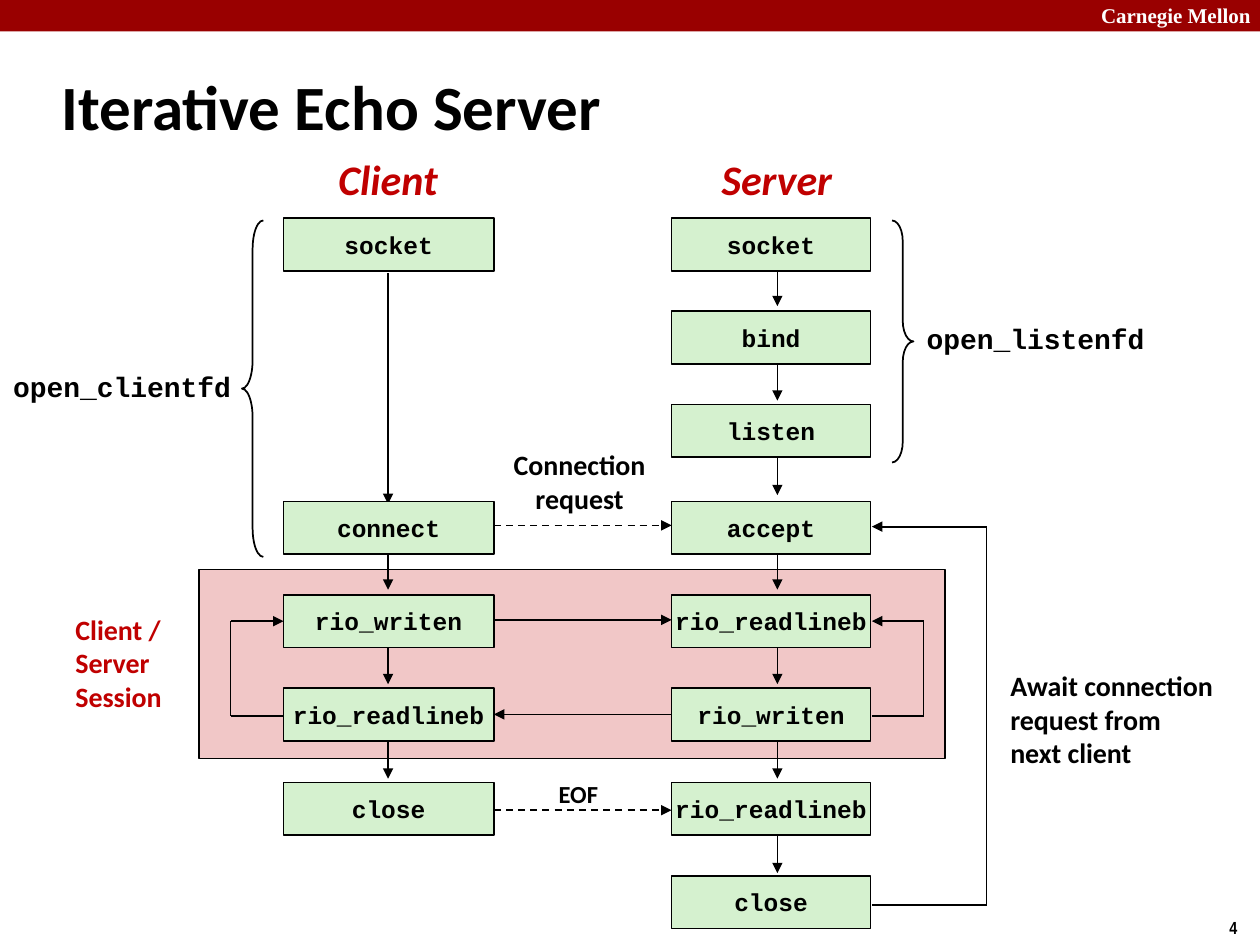
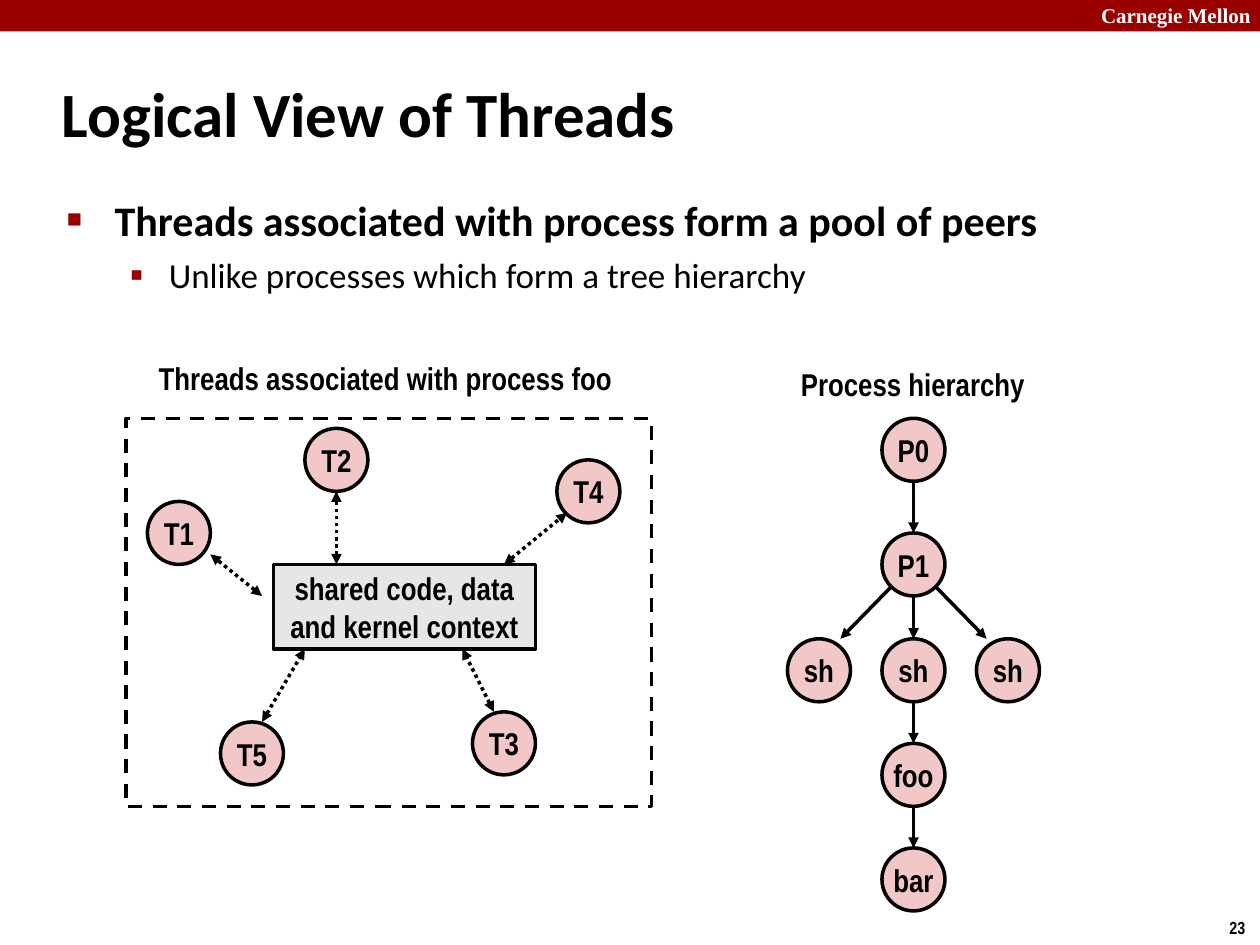
"""Build two lecture slides: an iterative echo server and a view of threads."""
import pptx
import pptx.dml.color
import pptx.enum.dml
import pptx.enum.shapes
import pptx.enum.text
import pptx.oxml.ns
import pptx.util
from lxml import etree

Inches = pptx.util.Inches
Pt = pptx.util.Pt
RGBColor = pptx.dml.color.RGBColor
SHAPE = pptx.enum.shapes.MSO_SHAPE
ALIGN = pptx.enum.text.PP_ALIGN
ANCHOR = pptx.enum.text.MSO_ANCHOR
DASH = pptx.enum.dml.MSO_LINE
qn = pptx.oxml.ns.qn

BLACK = RGBColor(0, 0, 0)
WHITE = RGBColor(255, 255, 255)
BAND = RGBColor(0x99, 0, 0)
RED = RGBColor(0xC0, 0, 0)
GREEN = RGBColor(0xD5, 0xF1, 0xCF)
PINK = RGBColor(0xF1, 0xC7, 0xC7)
GRAY = RGBColor(0xE6, 0xE6, 0xE6)
SANS, NARROW, MONO, SERIF = "Calibri", "Arial Narrow", "Courier New", "Times New Roman"


def add(s, text, at, sp=None, shape=None, fill=None, line=BLACK, width=1, dash=None,
        font=SANS, size=16, color=BLACK, bold=True, italic=False,
        align=ALIGN.CENTER, anchor=ANCHOR.MIDDLE, wrap=False):
    """Place a preset shape, a text box or a given placeholder, and format its text."""
    box = [Inches(v) for v in at]
    if shape is not None:
        sp = s.shapes.add_shape(shape, *box)
        sp.shadow.inherit = False
        if fill is None:
            sp.fill.background()
        else:
            sp.fill.solid()
            sp.fill.fore_color.rgb = fill
        if line is None:
            sp.line.fill.background()
        else:
            sp.line.color.rgb = line
            sp.line.width = Pt(width)
            if dash is not None:
                sp.line.dash_style = dash
    elif sp is None:
        sp = s.shapes.add_textbox(*box)
    else:
        sp.left, sp.top, sp.width, sp.height = box
    if text:
        tf = sp.text_frame
        tf.text = text
        tf.word_wrap = wrap
        tf.auto_size = pptx.enum.text.MSO_AUTO_SIZE.NONE
        tf.vertical_anchor = anchor
        for p in tf.paragraphs:
            p.alignment = align
            for r in p.runs:
                r.font.name, r.font.size = font, Pt(size)
                r.font.bold, r.font.italic = bold, italic
                r.font.color.rgb = color
    return sp


def connect(s, *points, width=1, dash=None, head=False, tail=True):
    """Join the points by straight connectors, with arrowheads at the ends."""
    legs = list(zip(points, points[1:]))
    for i, (a, b) in enumerate(legs):
        c = s.shapes.add_connector(pptx.enum.shapes.MSO_CONNECTOR.STRAIGHT,
                                   *[Inches(v) for v in a + b])
        c.line.color.rgb = BLACK
        c.line.width = Pt(width)
        if dash is not None:
            c.line.dash_style = dash
        ln = c.line._get_or_add_ln()
        if head and i == 0:
            etree.SubElement(ln, qn("a:headEnd"), type="triangle")
        if tail and i == len(legs) - 1:
            etree.SubElement(ln, qn("a:tailEnd"), type="triangle")
        etree.SubElement(c._element.spPr, qn("a:effectLst"))


prs = pptx.Presentation()
prs.slide_width, prs.slide_height = Inches(10), Inches(7.5)

slides = []
for layout, title, title_top, number in [(5, "Iterative Echo Server", 0.42, "4"),
                                         (1, "Logical View of Threads", 0.48, "23")]:
    s = prs.slides.add_slide(prs.slide_layouts[layout])
    add(s, "", (0, 0, 10, 0.25), shape=SHAPE.RECTANGLE, fill=BAND, line=None)
    add(s, "Carnegie Mellon", (8.64, -0.03, 1.43, 0.3), font=SERIF, size=12, color=WHITE,
        align=ALIGN.LEFT, anchor=ANCHOR.TOP, wrap=True)
    add(s, number, (9.66, 7.23, 0.34, 0.27), font=NARROW, size=10,
        align=ALIGN.LEFT, anchor=ANCHOR.TOP)
    add(s, title, (0.39, title_top, 8.3, 0.83), sp=s.shapes.title, size=36,
        align=ALIGN.LEFT, wrap=True)
    slides.append(s)
echo, threads = slides

s = echo
add(s, "", (1.58, 4.52, 5.92, 1.5), shape=SHAPE.RECTANGLE, fill=PINK)

client_x, server_x = 3.08, 6.17
connect(s, (client_x, 2.17), (client_x, 4))
for row in range(7):
    top = 2.1 + 0.75 * row
    connect(s, (server_x, top), (server_x, top + 0.33))
    if row in (3, 4, 5):
        connect(s, (client_x, top), (client_x, top + 0.33))

connect(s, (3.92, 4.17), (5.33, 4.17), dash=DASH.DASH)
connect(s, (3.92, 4.92), (5.33, 4.92))
connect(s, (5.33, 5.67), (3.92, 5.67))
connect(s, (3.92, 6.43), (5.33, 6.43), dash=DASH.DASH)
connect(s, (6.92, 5.68), (7.33, 5.68), (7.33, 4.93), (6.92, 4.93))
connect(s, (2.25, 5.68), (1.83, 5.68), (1.83, 4.93), (2.25, 4.93))
connect(s, (6.92, 7.18), (7.83, 7.18), (7.83, 4.18), (6.92, 4.18))

row_tops = [1.73, 2.47, 3.21, 3.98, 4.72, 5.46, 6.21, 6.95]
client_calls = ["socket", None, None, "connect", "rio_writen", "rio_readlineb", "close", None]
server_calls = ["socket", "bind", "listen", "accept", "rio_readlineb", "rio_writen",
                "rio_readlineb", "close"]
for left, width, calls in [(2.25, 1.67, client_calls), (5.33, 1.58, server_calls)]:
    for top, call in zip(row_tops, calls):
        if call:
            add(s, call, (left, top, width, 0.42), shape=SHAPE.RECTANGLE, fill=GREEN,
                font=MONO, size=14)

for text, at in [("Client", (2.58, 1.17, 1, 0.5)), ("Server", (5.62, 1.17, 1.09, 0.5))]:
    add(s, text, at, size=24, color=RED, italic=True)
for shape, at, bend in [(SHAPE.RIGHT_BRACE, (7.08, 1.75, 0.17, 1.92), 0.96),
                        (SHAPE.LEFT_BRACE, (1.92, 1.75, 0.17, 2.67), 1.33)]:
    add(s, "", at, shape=shape).adjustments[0] = bend
add(s, "open_listenfd", (7.25, 2.5, 1.94, 0.37), font=MONO)
add(s, "open_clientfd", (0, 2.88, 1.94, 0.37), font=MONO)
add(s, "Client / Server\nSession", (0.5, 4.81, 0.92, 0.9), color=RED,
    align=ALIGN.LEFT, wrap=True)
add(s, "Connection\nrequest", (3.97, 3.5, 1.26, 0.64))
add(s, "EOF", (4.33, 6.13, 0.52, 0.34), size=14)
add(s, "Await connection\nrequest from\nnext client", (7.92, 5.25, 1.83, 0.91),
    align=ALIGN.LEFT)

s = threads
body = add(s, "Threads associated with process form a pool of peers\n"
           "Unlike processes which form a tree hierarchy", (0.43, 1.49, 8.64, 5.44),
           sp=s.placeholders[1], size=24, align=ALIGN.LEFT, anchor=ANCHOR.TOP, wrap=True)
bullets = [(0, 0.38, 0.38, 0, "■", 60, 24, True), (1, 0.81, 0.31, 5, "▪", 110, 20, False)]
for p, (level, margin, hang, before, char, percent, size, bold) in zip(
        body.text_frame.paragraphs, bullets):
    p.level = level
    p.space_before = Pt(before)
    pPr = p._p.get_or_add_pPr()
    pPr.set("marL", str(Inches(margin)))
    pPr.set("indent", str(-Inches(hang)))
    color = etree.SubElement(pPr, qn("a:buClr"))
    etree.SubElement(color, qn("a:srgbClr"), val=str(BAND))
    etree.SubElement(pPr, qn("a:buSzPct"), val=str(percent * 1000))
    etree.SubElement(pPr, qn("a:buChar"), char=char)
    p.runs[0].font.size = Pt(size)
    p.runs[0].font.bold = bold

add(s, "Threads associated with process foo", (0.76, 2.8, 4.6, 0.4), font=NARROW, size=18)
add(s, "Process hierarchy", (6.06, 2.85, 2.37, 0.4), font=NARROW, size=18)
add(s, "", (1, 3.32, 4.17, 3.08), shape=SHAPE.RECTANGLE, width=2, dash=DASH.DASH)
add(s, "shared code, data\nand kernel context", (2.17, 4.48, 2.08, 0.67),
    shape=SHAPE.RECTANGLE, fill=GRAY, width=2, font=NARROW, size=18)

nodes = [("T1", 1.17, 3.98), ("T2", 2.42, 3.4), ("T3", 3.75, 5.65), ("T4", 4.42, 3.65),
         ("T5", 1.75, 5.73), ("P0", 7, 3.32), ("P1", 7, 4.23), ("sh", 6.25, 5.07),
         ("sh", 7, 5.07), ("sh", 7.75, 5.07), ("foo", 7, 5.9), ("bar", 7, 6.73)]
for name, left, top in nodes:
    add(s, name, (left, top, 0.5, 0.5), shape=SHAPE.OVAL, fill=PINK, width=2,
        font=NARROW, size=18)

for a, b in [((2.08, 5.73), (2.42, 5.15)), ((3.92, 5.65), (3.67, 5.15)),
             ((2.08, 4.73), (1.67, 4.4)), ((2.67, 4.48), (2.67, 3.9)),
             ((4, 4.48), (4.5, 4.07))]:
    connect(s, a, b, width=2, dash=DASH.ROUND_DOT, head=True)

trunk = [3.32, 4.23, 5.07, 5.9, 6.73]
for parent, child in zip(trunk, trunk[1:]):
    connect(s, (7.25, parent + 0.5), (7.25, child), width=2)
for side in (-1, 1):
    connect(s, (7.25 + 0.17 * side, 4.65), (7.25 + 0.58 * side, 5.07), width=2)

prs.save("out.pptx")
